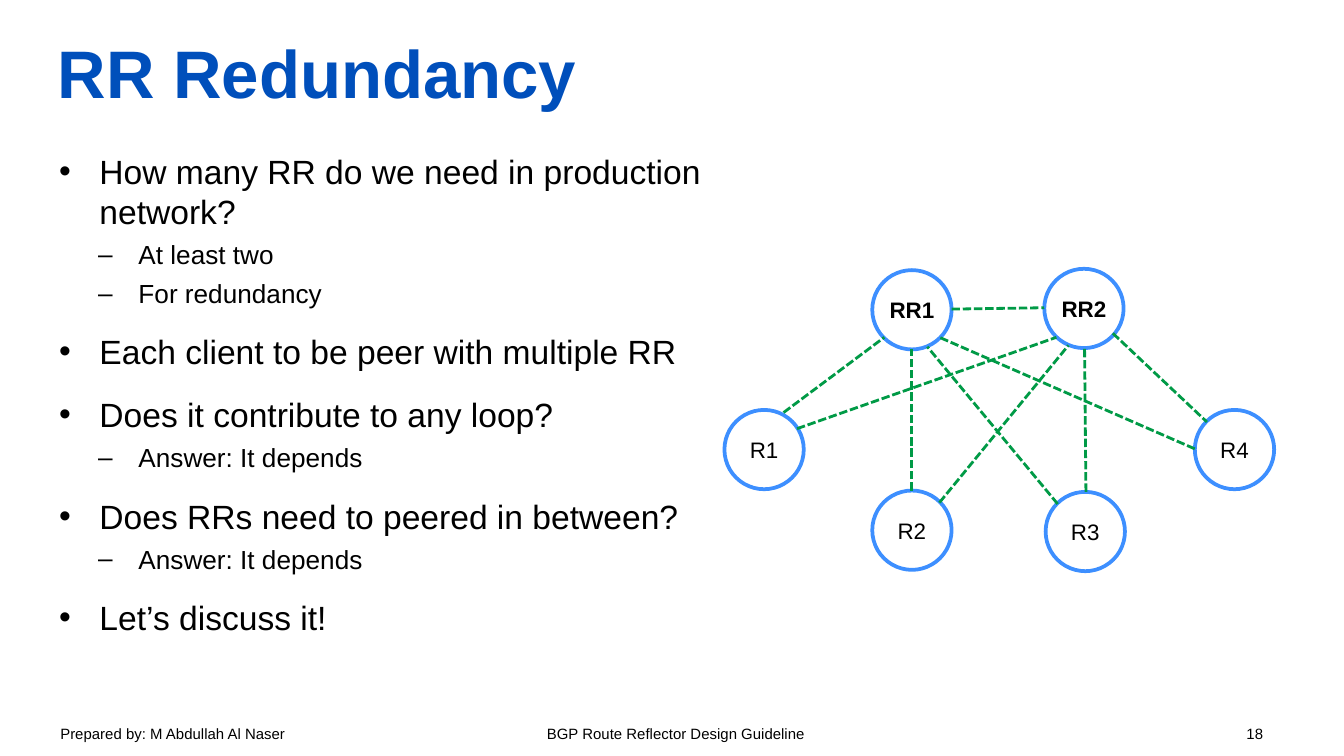
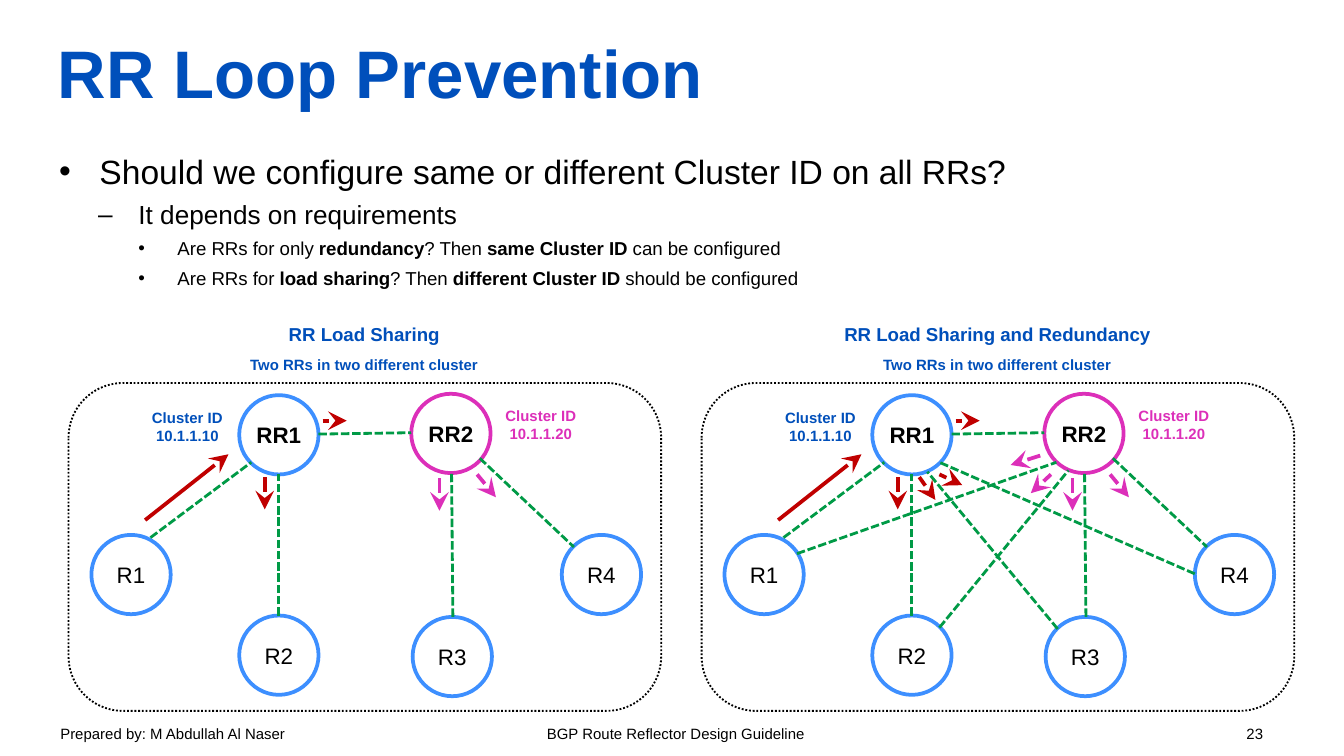
from lxml import etree
from pptx import Presentation
from pptx.dml.color import RGBColor
from pptx.enum.dml import MSO_LINE
from pptx.enum.shapes import MSO_CONNECTOR, MSO_SHAPE
from pptx.enum.text import MSO_ANCHOR, PP_ALIGN
from pptx.oxml.ns import qn
from pptx.util import Inches, Pt

STRAIGHT = MSO_CONNECTOR.STRAIGHT
OVAL = MSO_SHAPE.OVAL
ROUNDED = MSO_SHAPE.ROUNDED_RECTANGLE
DASHED, DOTTED = MSO_LINE.SQUARE_DOT, MSO_LINE.ROUND_DOT
MIDDLE, CENTER, LEFT = MSO_ANCHOR.MIDDLE, PP_ALIGN.CENTER, PP_ALIGN.LEFT

BLACK = RGBColor(0x00, 0x00, 0x00)
TITLE_BLUE = RGBColor(0x00, 0x4F, 0xBB)
LABEL_BLUE = RGBColor(0x00, 0x4F, 0xBA)
ROUTER_BLUE = RGBColor(0x3D, 0x8F, 0xFF)
PINK = RGBColor(0xDC, 0x2F, 0xB9)
RED = RGBColor(0xC0, 0x00, 0x00)
GREEN = RGBColor(0x00, 0x9A, 0x46)
FONT = "Arial"

# Bullet styles by level: character, left margin, hanging, space before, size
LEVELS = [("•", 0.3, 0.3, 12, 18), ("–", 0.59, 0.3, 4, 14), ("•", 0.88, 0.29, 4, 10)]

# Title, page number, body width, bullets (level, text with *bold* parts)
SLIDES = [
    ("RR Redundancy", 18, 5.19, [
        (0, "How many RR do we need in production network?"),
        (1, "At least two"),
        (1, "For redundancy"),
        (0, "Each client to be peer with multiple RR"),
        (0, "Does it contribute to any loop?"),
        (1, "Answer: It depends"),
        (0, "Does RRs need to peered in between?"),
        (1, "Answer: It depends"),
        (0, "Let’s discuss it!"),
    ]),
    ("RR Loop Prevention", 23, 9.19, [
        (0, "Should we configure same or different Cluster ID on all RRs?"),
        (1, "It depends on requirements"),
        (2, "Are RRs for only *redundancy*? Then *same Cluster ID *can be configured"),
        (2, "Are RRs for *load sharing*? Then *different Cluster ID *should be configured"),
    ]),
]

# Positions below are relative to the network's own top left corner.
ROUTER_SIZE = 0.59
ROUTERS = {"R1": (0, 1.05), "R2": (1.1, 1.65), "R3": (2.39, 1.66),
           "R4": (3.5, 1.05), "RR1": (1.1, 0.01), "RR2": (2.38, 0)}
PEERINGS = [
    (0.44, 1.07, 1.19, 0.51),  # R1 - RR1
    (1.39, 1.65, 1.39, 0.6),   # R2 - RR1
    (2.69, 1.66, 2.68, 0.59),  # R3 - RR2
    (2.89, 0.48, 3.59, 1.14),  # RR2 - R4
    (1.69, 0.3, 2.38, 0.29),   # RR1 - RR2
]
REDUNDANT_PEERINGS = [
    (2.48, 1.75, 1.51, 0.58),  # R3 - RR1
    (0.54, 1.19, 2.47, 0.51),  # R1 - RR2
    (3.5, 1.34, 1.6, 0.51),    # R4 - RR1
    (1.6, 1.74, 2.56, 0.57),   # R2 - RR2
]
UPDATES = [
    (RED, (0.4, 0.94, 1.02, 0.45)),
    (RED, (1.72, 0.2, 1.9, 0.2)),
    (RED, (1.29, 0.62, 1.29, 0.86)),
    (PINK, (2.59, 0.63, 2.59, 0.87)),
    (PINK, (2.87, 0.6, 3.01, 0.77)),
]
REDUNDANT_UPDATES = [
    (RED, (1.45, 0.62, 1.57, 0.79)),
    (RED, (1.6, 0.6, 1.77, 0.68)),
    (PINK, (2.35, 0.46, 2.13, 0.53)),
    (PINK, (2.43, 0.6, 2.28, 0.74)),
]

# Slide index, left, top, redundant, RR2 colour, heading (None: bare network)
NETWORKS = [
    (0, 5.39, 2.0, True, ROUTER_BLUE, None),
    (1, 0.68, 2.93, False, PINK, "RR Load Sharing"),
    (1, 5.39, 2.93, True, PINK, "RR Load Sharing and Redundancy"),
]


def fill_text(frame, lines, size, color=BLACK, bold=False, align=CENTER, tabs=()):
    """Write one paragraph per line, all in one style, with (align, inches) tabs."""
    for index, line in enumerate(lines):
        paragraph = frame.paragraphs[0] if index == 0 else frame.add_paragraph()
        paragraph.text = line
        paragraph.alignment = align
        if tabs:
            stops = etree.SubElement(paragraph._p.get_or_add_pPr(), qn("a:tabLst"))
            for side, position in tabs:
                etree.SubElement(stops, qn("a:tab"), pos=str(Inches(position)), algn=side)
        font = paragraph.font
        font.name, font.size, font.bold = FONT, Pt(size), bold
        font.color.rgb = color


def add_line(slide, left, top, ends, color, width, arrow=False):
    """Draw a dashed peering, or a solid arrow, offset by left and top."""
    x1, y1, x2, y2 = ends
    connector = slide.shapes.add_connector(
        STRAIGHT, Inches(left + x1), Inches(top + y1), Inches(left + x2), Inches(top + y2))
    connector.line.color.rgb = color
    connector.line.width = Pt(width)
    if arrow:
        etree.SubElement(connector.line._get_or_add_ln(), qn("a:tailEnd"),
                         type="stealth", w="lg", len="lg")
    else:
        connector.line.dash_style = DASHED
    etree.SubElement(connector._element.spPr, qn("a:effectLst"))


prs = Presentation()
prs.slide_width = Inches(10)
prs.slide_height = prs.slide_width * 9 // 16

for title, page, body_width, bullets in SLIDES:
    slide = prs.slides.add_slide(prs.slide_layouts[6])

    footer = slide.shapes.add_textbox(Inches(0.35), Inches(5.34), Inches(9.32), Inches(0.25))
    footer.text_frame.word_wrap = True
    fill_text(footer.text_frame,
              [f"Prepared by: M Abdullah Al Naser\tBGP Route Reflector Design Guideline\t{page}"],
              8, align=LEFT, tabs=[("l", 3.62), ("r", 8.95)])

    heading = slide.shapes.add_textbox(Inches(0.43), Inches(0.06), Inches(9.13), Inches(0.94))
    body = slide.shapes.add_textbox(Inches(0.44), Inches(1.12), Inches(body_width), Inches(4.13))
    for frame in (heading.text_frame, body.text_frame):
        frame.word_wrap = True
        frame.margin_left = frame.margin_right = frame.margin_top = frame.margin_bottom = 0
    heading.text_frame.vertical_anchor = MIDDLE
    fill_text(heading.text_frame, [title], 36, TITLE_BLUE, True, LEFT)

    for index, (level, text) in enumerate(bullets):
        frame = body.text_frame
        paragraph = frame.paragraphs[0] if index == 0 else frame.add_paragraph()
        mark, margin, hanging, space, size = LEVELS[level]
        paragraph.level = level
        paragraph.space_before = Pt(space)
        properties = paragraph._p.get_or_add_pPr()
        properties.set("marL", str(Inches(margin)))
        properties.set("indent", str(-Inches(hanging)))
        etree.SubElement(properties, qn("a:buFont"), typeface=FONT)
        etree.SubElement(properties, qn("a:buChar"), char=mark)
        paragraph.font.name, paragraph.font.size = FONT, Pt(size)
        paragraph.font.color.rgb = BLACK
        for part, words in enumerate(text.split("*")):
            run = paragraph.add_run()
            run.text = words
            if part % 2:
                run.font.bold = True

for slide_index, left, top, redundant, rr2_color, heading in NETWORKS:
    slide = prs.slides[slide_index]

    for name, (x, y) in ROUTERS.items():
        router = slide.shapes.add_shape(OVAL, Inches(left + x), Inches(top + y),
                                        Inches(ROUTER_SIZE), Inches(ROUTER_SIZE))
        router.shadow.inherit = False
        router.fill.background()
        router.line.color.rgb = rr2_color if name == "RR2" else ROUTER_BLUE
        router.line.width = Pt(2)
        frame = router.text_frame
        frame.word_wrap = False
        frame.margin_left = frame.margin_right = frame.margin_top = frame.margin_bottom = 0
        frame.vertical_anchor = MIDDLE
        fill_text(frame, [name], 12, bold=name.startswith("RR"))

    for ends in PEERINGS + (REDUNDANT_PEERINGS if redundant else []):
        add_line(slide, left, top, ends, GREEN, 1.5)

    if heading is None:
        continue

    for color, ends in UPDATES + (REDUNDANT_UPDATES if redundant else []):
        add_line(slide, left, top, ends, color, 2, arrow=True)

    border = slide.shapes.add_shape(ROUNDED, Inches(left - 0.17), Inches(top - 0.08),
                                    Inches(4.41), Inches(2.44))
    border.shadow.inherit = False
    border.fill.background()
    border.line.color.rgb = BLACK
    border.line.width = Pt(1)
    border.line.dash_style = DOTTED

    for x, y, width, height, lines, size, color in [
        (0.78, -0.58, 2.5, 0.27, [heading], 10, LABEL_BLUE),
        (1.07, -0.33, 1.92, 0.24, ["Two RRs in two different cluster"], 8, LABEL_BLUE),
        (0.35, 0.06, 0.73, 0.37, ["Cluster ID", "10.1.1.10"], 8, LABEL_BLUE),
        (2.98, 0.05, 0.73, 0.37, ["Cluster ID", "10.1.1.20"], 8, PINK),
    ]:
        label = slide.shapes.add_textbox(Inches(left + x), Inches(top + y),
                                         Inches(width), Inches(height))
        label.text_frame.word_wrap = False
        fill_text(label.text_frame, lines, size, color, True)

prs.save("out.pptx")
